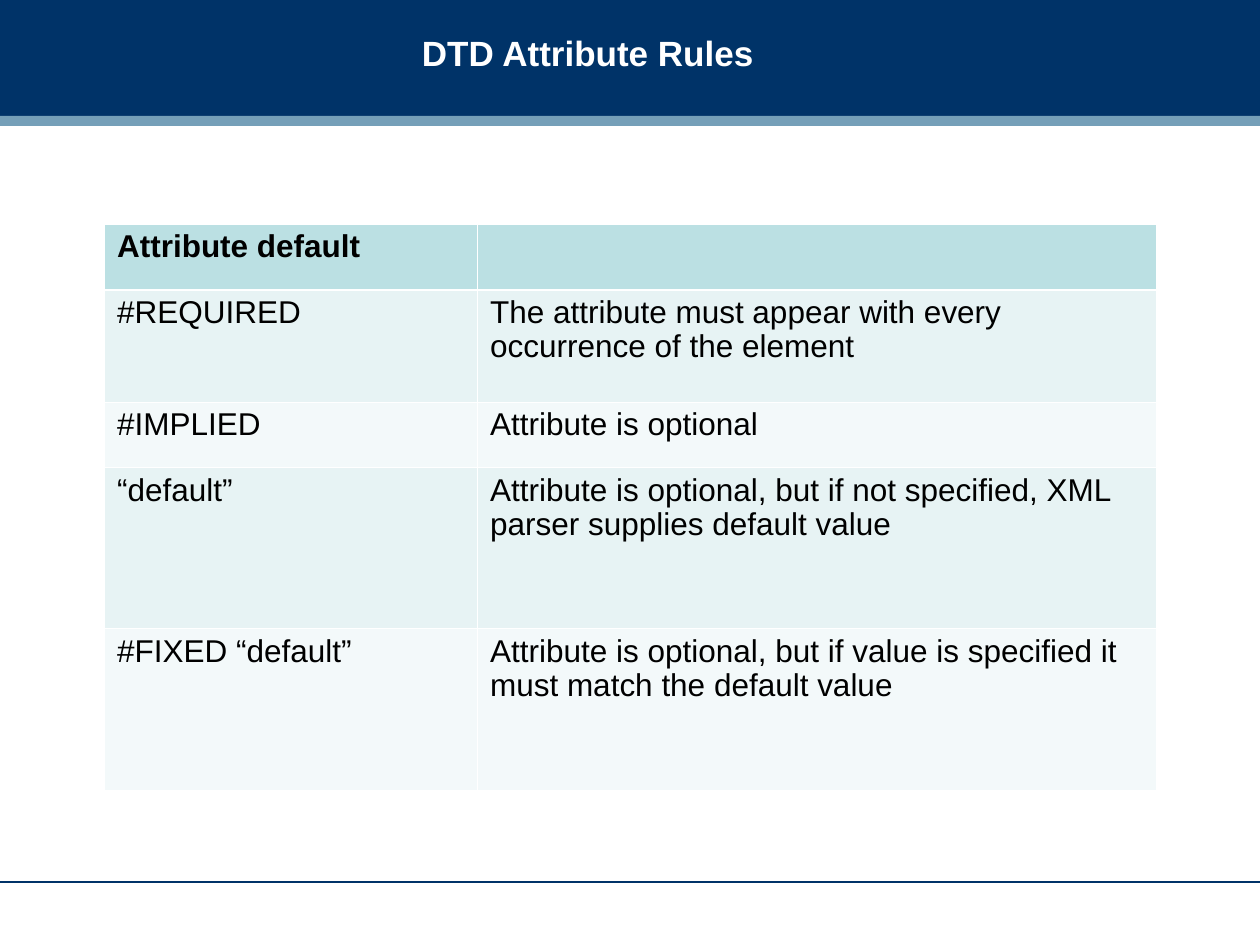
"""Build the DTD attribute rules slide."""
import pptx
import pptx.dml.color
import pptx.enum.shapes
import pptx.enum.text
import pptx.oxml
import pptx.oxml.ns
import pptx.util

Inches = pptx.util.Inches
Pt = pptx.util.Pt
RGBColor = pptx.dml.color.RGBColor

NAVY = RGBColor(0x00, 0x33, 0x68)
STEEL = RGBColor(0x75, 0x9F, 0xB8)
WHITE = RGBColor(0xFF, 0xFF, 0xFF)
BLACK = RGBColor(0x00, 0x00, 0x00)
TEAL = RGBColor(0xBB, 0xE0, 0xE3)
BANDS = [RGBColor(0xF3, 0xF9, 0xFA), RGBColor(0xE7, 0xF3, 0xF4)]

ROWS = [
    (0.52, "Attribute default", ""),
    (0.89, "#REQUIRED", "The attribute must appear with every occurrence of the element"),
    (0.52, "#IMPLIED", "Attribute is optional"),
    (1.28, "“default”",
     "Attribute is optional, but if not specified, XML parser supplies default value"),
    (1.28, "#FIXED “default”",
     "Attribute is optional, but if value is specified it must match the default value"),
]
COLS = [2.96, 5.39]


def style(font, size, color, bold):
    form = {"name": "Arial", "size": Pt(size), "bold": bold}
    for key, value in form.items():
        setattr(font, key, value)
    font.color.rgb = color


def border(cell, side, width):
    props = cell._tc.get_or_add_tcPr()
    line = pptx.oxml.parse_xml(
        f'<a:{side} {pptx.oxml.ns.nsdecls("a")} w="{Pt(width)}"><a:solidFill>'
        f'<a:srgbClr val="{WHITE}"/></a:solidFill></a:{side}>')
    props.append(line)


deck = pptx.Presentation()
deck.slide_width = Inches(10)
deck.slide_height = Inches(7.5)
slide = deck.slides.add_slide(deck.slide_layouts[6])
shapes = slide.shapes

for top, height, color in [(0, 0.92, NAVY), (0.92, 0.08, STEEL)]:
    bar = shapes.add_shape(pptx.enum.shapes.MSO_SHAPE.RECTANGLE,
                           Inches(0), Inches(top), Inches(10), Inches(height))
    bar.shadow.inherit = False
    bar.fill.solid()
    bar.fill.fore_color.rgb = color
    bar.line.fill.background()

rule = shapes.add_connector(pptx.enum.shapes.MSO_CONNECTOR.STRAIGHT,
                            Inches(0), Inches(7), Inches(10), Inches(7))
rule.line.color.rgb = NAVY
rule.line.width = Pt(0.75)
rule._element.spPr.append(
    pptx.oxml.parse_xml(f'<a:effectLst {pptx.oxml.ns.nsdecls("a")}/>'))

title = shapes.add_textbox(Inches(3.25), Inches(0), Inches(6.58), Inches(0.83))
frame = title.text_frame
frame.word_wrap = True
frame.vertical_anchor = pptx.enum.text.MSO_ANCHOR.MIDDLE
frame.text = "DTD Attribute Rules"
style(frame.paragraphs[0].font, 20, WHITE, True)

table = shapes.add_table(len(ROWS), len(COLS), Inches(0.83), Inches(1.78),
                         Inches(sum(COLS)), Inches(sum(row[0] for row in ROWS))).table
for col, width in zip(table.columns, COLS):
    col.width = Inches(width)

for r, (height, *texts) in enumerate(ROWS):
    table.rows[r].height = Inches(height)
    for c, text in enumerate(texts):
        cell = table.cell(r, c)
        cell.text = text
        para = cell.text_frame.paragraphs[0]
        para.line_spacing = 0.97
        style(para.font, 18, BLACK, r == 0)
        edges = {"lnL": 0.45, "lnR": 0.45,
                 "lnT": 1.47 if r == 1 else 0.45,
                 "lnB": 1.47 if r == 0 else 0.45}
        for side, width in edges.items():
            border(cell, side, width)
        cell.fill.solid()
        cell.fill.fore_color.rgb = BANDS[r % 2] if r else TEAL

deck.save("out.pptx")
